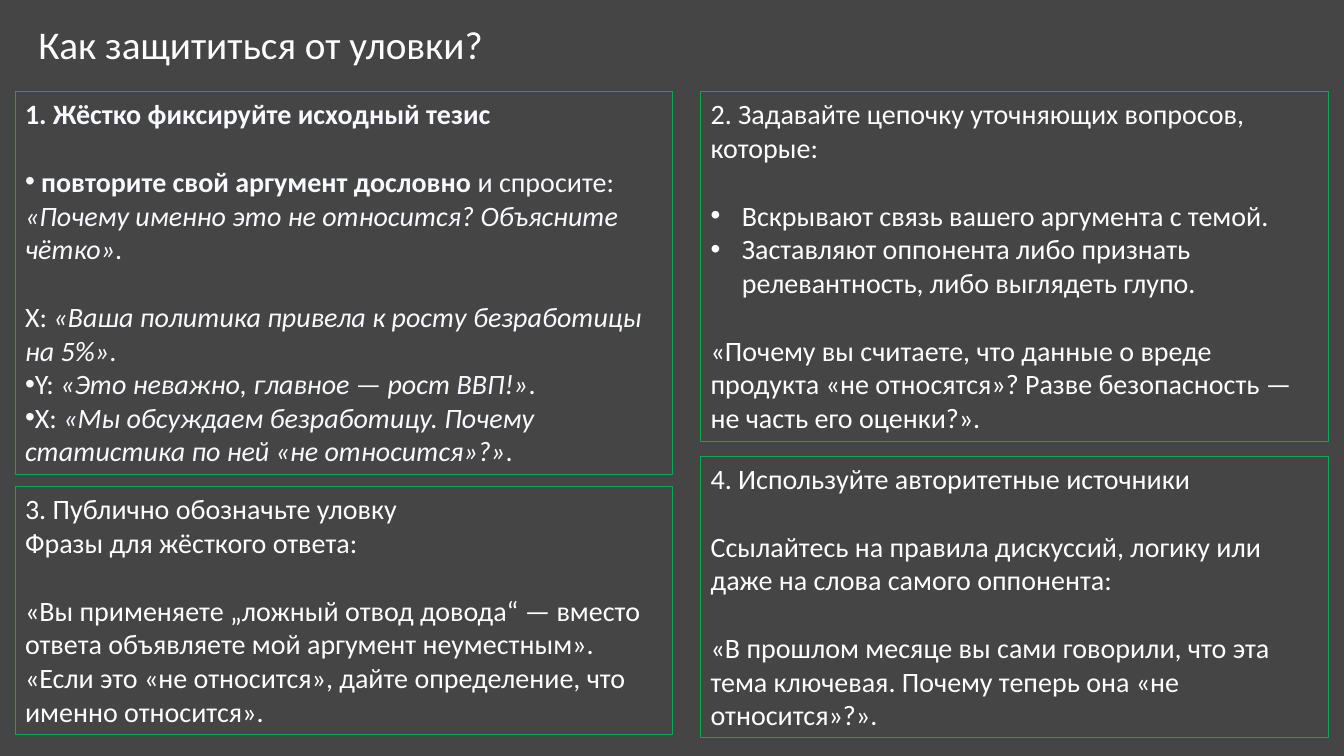
from dataclasses import dataclass

from lxml.etree import SubElement
from pptx import Presentation
from pptx.dml.color import RGBColor
from pptx.enum.shapes import MSO_SHAPE
from pptx.enum.text import MSO_ANCHOR, MSO_AUTO_SIZE, PP_ALIGN
from pptx.oxml.ns import qn
from pptx.util import Inches, Pt

COLORS = {"background": "454545", "border": "00B050", "white": "FFFFFF", "pale": "F8FAFF"}
FONT = "Calibri"
TITLE_SIZE = 28
BODY_SIZE = 20
BLANK_LINE = 24.4
HANGING_INDENT = 0.31

LEFT_COLUMN = (0.15, 6.52)
RIGHT_COLUMN = (6.95, 6.23)
TOP = 0.91


@dataclass
class Line:
    phrases: list
    gap: bool = False
    bullet: bool = False
    indent: float = 0


def plain(text, **options):
    return Line([(text, "")], **options)


def quote(speaker, text, **options):
    return Line([(speaker, ""), (text, "i"), (".", "")], **options)


THESIS = [
    Line([("1. Жёстко фиксируйте исходный тезис", "b")]),
    Line([(" повторите свой аргумент дословно", "b"), (" и спросите:", ""), ("\n", ""),
          ("«Почему именно это не относится? Объясните чётко»", "i"), (".", "")],
         gap=True, bullet=True),
    quote("X: ", "«Ваша политика привела к росту безработицы на 5%»", gap=True),
    quote("Y: ", "«Это неважно, главное — рост ВВП!»", bullet=True),
    quote("X: ", "«Мы обсуждаем безработицу. Почему статистика по ней «не относится»?»", bullet=True),
]
QUESTIONS = [
    plain("2. Задавайте цепочку уточняющих вопросов, которые:"),
    plain("Вскрывают связь вашего аргумента с темой.",
          gap=True, bullet=True, indent=HANGING_INDENT),
    plain("Заставляют оппонента либо признать релевантность, либо выглядеть глупо.",
          bullet=True, indent=HANGING_INDENT),
    plain("«Почему вы считаете, что данные о вреде продукта «не относятся»? "
          "Разве безопасность — не часть его оценки?».", gap=True),
]
EXPOSURE = [
    plain("3. Публично обозначьте уловку"),
    plain("Фразы для жёсткого ответа:"),
    plain("«Вы применяете „ложный отвод довода“ — вместо ответа "
          "объявляете мой аргумент неуместным».", gap=True),
    plain("«Если это «не относится», дайте определение, что именно относится»."),
]
SOURCES = [
    plain("4. Используйте авторитетные источники"),
    plain("Ссылайтесь на правила дискуссий, логику или даже на слова самого оппонента:", gap=True),
    plain("«В прошлом месяце вы сами говорили, что эта тема ключевая. "
          "Почему теперь она «не относится»?».", gap=True),
]


def color(name):
    return RGBColor.from_string(COLORS[name])


def format_run(run, size, color_name, style=""):
    run.font.name = FONT
    run.font.size = Pt(size)
    run.font.bold = style == "b"
    run.font.italic = style == "i"
    run.font.color.rgb = color(color_name)


def add_bullet(paragraph, indent):
    properties = paragraph._p.get_or_add_pPr()
    properties.set("marL", str(Inches(indent)))
    properties.set("indent", str(-Inches(indent)))
    SubElement(properties, qn("a:buFont")).set("typeface", "Arial")
    SubElement(properties, qn("a:buChar")).set("char", "•")


def write_line(paragraph, line, color_name):
    paragraph.alignment = PP_ALIGN.LEFT
    paragraph.space_before = Pt(BLANK_LINE if line.gap else 0)
    if line.bullet:
        add_bullet(paragraph, line.indent)
    for text, style in line.phrases:
        if text == "\n":
            paragraph.add_line_break()
            continue
        run = paragraph.add_run()
        run.text = text
        format_run(run, BODY_SIZE, color_name, style)


def add_title(slide, box, text):
    title = slide.shapes.title
    title.left, title.top, title.width, title.height = map(Inches, box)
    frame = title.text_frame
    frame.text = text
    frame.word_wrap = True
    frame.auto_size = MSO_AUTO_SIZE.NONE
    frame.vertical_anchor = MSO_ANCHOR.TOP
    paragraph = frame.paragraphs[0]
    paragraph.alignment = PP_ALIGN.LEFT
    format_run(paragraph.runs[0], TITLE_SIZE, "white")


def add_panel(slide, box, lines, color_name="white"):
    panel = slide.shapes.add_shape(MSO_SHAPE.RECTANGLE, *map(Inches, box))
    panel.shadow.inherit = False
    panel.fill.background()
    panel.line.color.rgb = color("border")
    panel.line.width = Pt(0.75)
    frame = panel.text_frame
    frame.word_wrap = True
    frame.vertical_anchor = MSO_ANCHOR.TOP
    for index, line in enumerate(lines):
        paragraph = frame.add_paragraph() if index else frame.paragraphs[0]
        write_line(paragraph, line, color_name)


def add_column(slide, column, panels):
    left, width = column
    for top, height, lines, color_name in panels:
        add_panel(slide, (left, top, width, height), lines, color_name)


def main():
    presentation = Presentation()
    presentation.slide_width = Inches(13.33)
    presentation.slide_height = Inches(7.5)
    slide = presentation.slides.add_slide(presentation.slide_layouts[5])
    slide.background.fill.solid()
    slide.background.fill.fore_color.rgb = color("background")

    add_title(slide, (0.28, 0.15, 6.67, 0.57), "Как защититься от уловки?")
    add_column(slide, LEFT_COLUMN, [(TOP, 3.8, THESIS, "pale"), (4.83, 2.46, EXPOSURE, "white")])
    add_column(slide, RIGHT_COLUMN, [(TOP, 3.47, QUESTIONS, "white"), (4.53, 2.79, SOURCES, "white")])
    presentation.save("out.pptx")


if __name__ == "__main__":
    main()
